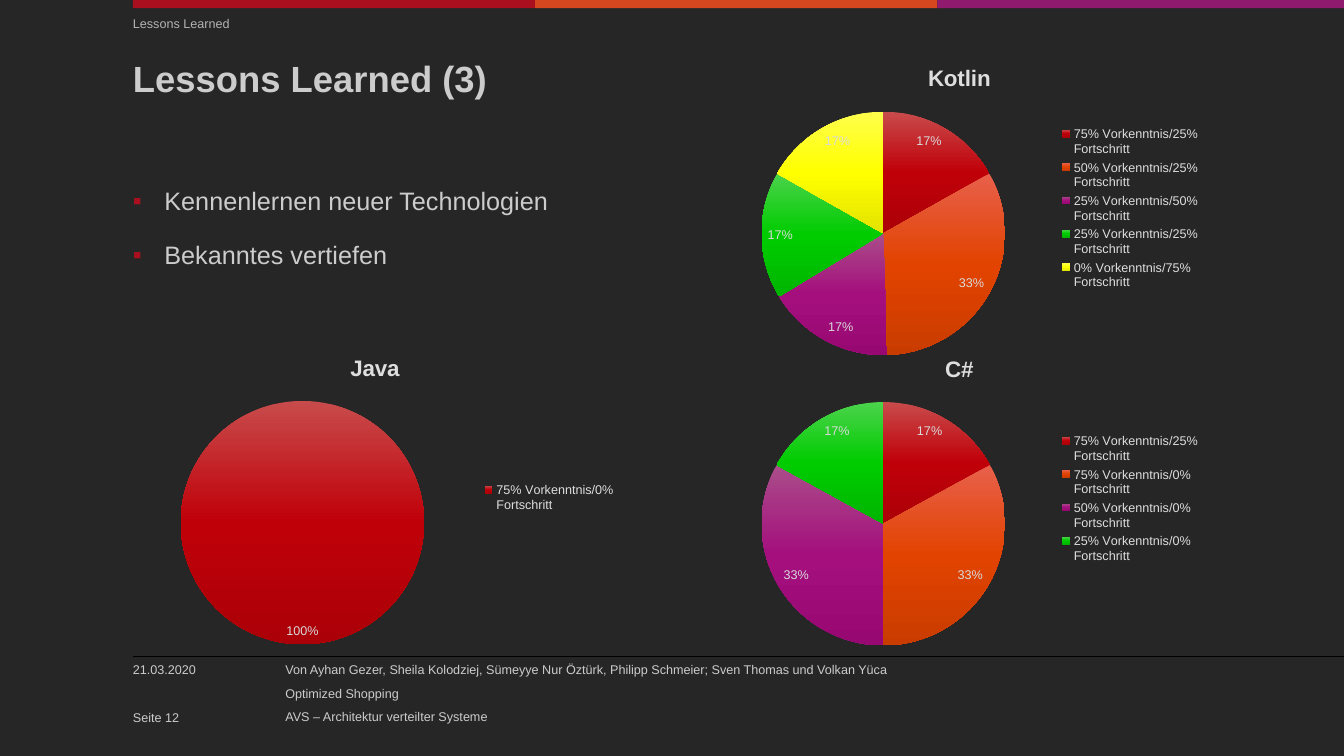
from lxml import etree
from pptx import Presentation
from pptx.chart.data import CategoryChartData as ChartData
from pptx.dml.color import RGBColor as Color
from pptx.enum.chart import XL_CHART_TYPE as ChartType
from pptx.enum.chart import XL_LABEL_POSITION as LabelPosition
from pptx.enum.chart import XL_LEGEND_POSITION as LegendPosition
from pptx.enum.shapes import MSO_CONNECTOR as Connector
from pptx.enum.shapes import MSO_SHAPE as Shape
from pptx.enum.text import MSO_ANCHOR as Anchor
from pptx.oxml import parse_xml
from pptx.oxml.ns import nsdecls, qn
from pptx.util import Pt

FONT = "Arial"
COLORS = {
    "background": "262626", "text": "CCCCCC", "section": "B3B3B3",
    "chart": "DEDEDE", "label": "D9D9D9", "rule": "000000",
    "red": "AA0F1F", "orange": "D7471F", "purple": "901B6E",
}
SLICE_COLORS = [
    ("C84B4B", "C00009", "AB0008"),
    ("E8604B", "E24300", "C93C00"),
    ("AA4D8A", "A40F7D", "980872"),
    ("4BD34B", "00CC00", "00B500"),
    ("FFFF4B", "FFFF00", "E3E300"),
]
CHARTS = [
    ("Kotlin", (506, 34.6, 358.5, 229), [
        ("75% Vorkenntnis/25% Fortschritt", 17),
        ("50% Vorkenntnis/25% Fortschritt", 33),
        ("25% Vorkenntnis/50% Fortschritt", 17),
        ("25% Vorkenntnis/25% Fortschritt", 17),
        ("0% Vorkenntnis/75% Fortschritt", 17),
    ]),
    ("C#", (506, 242, 358.5, 229), [
        ("75% Vorkenntnis/25% Fortschritt", 17),
        ("75% Vorkenntnis/0% Fortschritt", 33),
        ("50% Vorkenntnis/0% Fortschritt", 33),
        ("25% Vorkenntnis/0% Fortschritt", 17),
    ]),
    ("Java", (88.6, 241.2, 358.5, 229), [
        ("75% Vorkenntnis/0% Fortschritt", 100),
    ]),
]


def color(name):
    return Color.from_string(COLORS[name])


def style_font(font, size, tint, bold=False):
    font.name = FONT
    font.size = Pt(size)
    font.bold = bold
    font.color.rgb = color(tint)


def add_text(page, box, lines, size=9, tint="text", bold=False, anchor=Anchor.TOP,
             before=0, after=0, spacing=None, bullet=None):
    frame = page.shapes.add_textbox(*map(Pt, box)).text_frame
    frame.word_wrap = True
    frame.vertical_anchor = anchor
    frame.margin_left = frame.margin_right = 0
    frame.margin_top = frame.margin_bottom = 0
    for index, line in enumerate(lines):
        para = frame.paragraphs[0] if index == 0 else frame.add_paragraph()
        para.space_before = Pt(before)
        para.space_after = Pt(after)
        para.line_spacing = spacing
        span = para.add_run()
        span.text = line
        style_font(span.font, size, tint, bold)
        if bullet:
            add_bullet(para, bullet)


def add_bullet(para, symbol, indent=22.5):
    properties = para._p.get_or_add_pPr()
    properties.set("marL", str(Pt(indent)))
    properties.set("indent", str(-Pt(indent)))
    tint = etree.SubElement(properties, qn("a:buClr"))
    etree.SubElement(tint, qn("a:srgbClr"), val=COLORS["red"])
    etree.SubElement(properties, qn("a:buFont"), typeface=FONT)
    etree.SubElement(properties, qn("a:buChar"), char=symbol)


def add_top_band(page, box):
    left, top, width, height = box
    step = 287.3
    for index, tint in enumerate(["red", "orange", "purple"]):
        start = index * step
        bar = page.shapes.add_shape(
            Shape.RECTANGLE, Pt(left + start), Pt(top),
            Pt(width - start if index == 2 else step), Pt(height))
        bar.shadow.inherit = False
        bar.fill.solid()
        bar.fill.fore_color.rgb = color(tint)
        bar.line.fill.background()


def add_heading(page, box):
    left, top, width, height = box
    add_text(page, (left, top, width, 17.3), ["Lessons Learned"],
             tint="section", after=6)
    add_text(page, (left, top + 29.5, width, height - 29.5), ["Lessons Learned (3)"],
             size=26, bold=True, spacing=Pt(30))


def add_topics(page, box):
    add_text(page, box, ["Kennenlernen neuer Technologien", "Bekanntes vertiefen"],
             size=18, before=6, spacing=1.5, bullet="▪")


def add_footer(page, box):
    left, top, width, height = box
    rule = page.shapes.add_connector(
        Connector.STRAIGHT, Pt(left), Pt(top), Pt(left + width), Pt(top))
    rule.line.color.rgb = color("rule")
    rule.line.width = Pt(0.5)
    etree.SubElement(rule._element.spPr, qn("a:effectLst"))
    text_top = top + 4.3
    add_text(page, (left, text_top, 102, 14.4), ["21.03.2020"])
    add_text(page, (left, top + height - 16.6, 102, 16.6), ["Seite 12"],
             anchor=Anchor.BOTTOM)
    add_text(page, (left + 108.8, text_top, 440.6, 43.2), [
        "Von Ayhan Gezer, Sheila Kolodziej, Sümeyye Nur Öztürk, "
        "Philipp Schmeier; Sven Thomas und Volkan Yüca",
        "Optimized Shopping",
        "AVS – Architektur verteilter Systeme",
    ], after=6)


def fill_slice(point, shades):
    stops = "".join(
        f'<a:gs pos="{index * 50000}"><a:srgbClr val="{shade}"/></a:gs>'
        for index, shade in enumerate(shades))
    point.format.line.fill.background()
    properties = point.format.line._get_or_add_ln().getparent()
    properties.insert(0, parse_xml(
        f'<a:gradFill {nsdecls("a")} rotWithShape="1"><a:gsLst>{stops}</a:gsLst>'
        '<a:lin ang="5400000" scaled="0"/></a:gradFill>'))


def add_pie(page, box, name, slices):
    data = ChartData()
    data.categories = [category for category, value in slices]
    data.add_series(name, [value for category, value in slices])
    chart = page.shapes.add_chart(ChartType.PIE, *map(Pt, box), data).chart
    style_font(chart.font, 10, "text")

    chart.has_title = True
    title = chart.chart_title.text_frame
    title.text = name
    style_font(title.paragraphs[0].runs[0].font, 16, "chart", bold=True)

    chart.has_legend = True
    chart.legend.position = LegendPosition.RIGHT
    chart.legend.include_in_layout = False
    style_font(chart.legend.font, 9, "chart")

    plot = chart.plots[0]
    plot.vary_by_categories = True
    plot.has_data_labels = True
    labels = plot.data_labels
    labels.show_percentage = True
    labels.show_value = False
    labels.number_format = "0%"
    labels.number_format_is_linked = False
    labels.position = LabelPosition.INSIDE_END
    style_font(labels.font, 9, "label")
    for index, shades in enumerate(SLICE_COLORS[:len(slices)]):
        fill_slice(plot.series[0].points[index], shades)


def main():
    deck = Presentation()
    deck.slide_width, deck.slide_height = Pt(960), Pt(540)
    page = deck.slides.add_slide(deck.slide_layouts[6])
    page.background.fill.solid()
    page.background.fill.fore_color.rgb = color("background")
    add_top_band(page, (95, 0, 865, 5.8))
    add_heading(page, (95, 11.5, 850, 100))
    add_topics(page, (95, 121.7, 390, 296))
    add_footer(page, (95, 468.7, 865, 49))
    for name, box, slices in CHARTS:
        add_pie(page, box, name, slices)
    deck.save("out.pptx")


if __name__ == "__main__":
    main()
